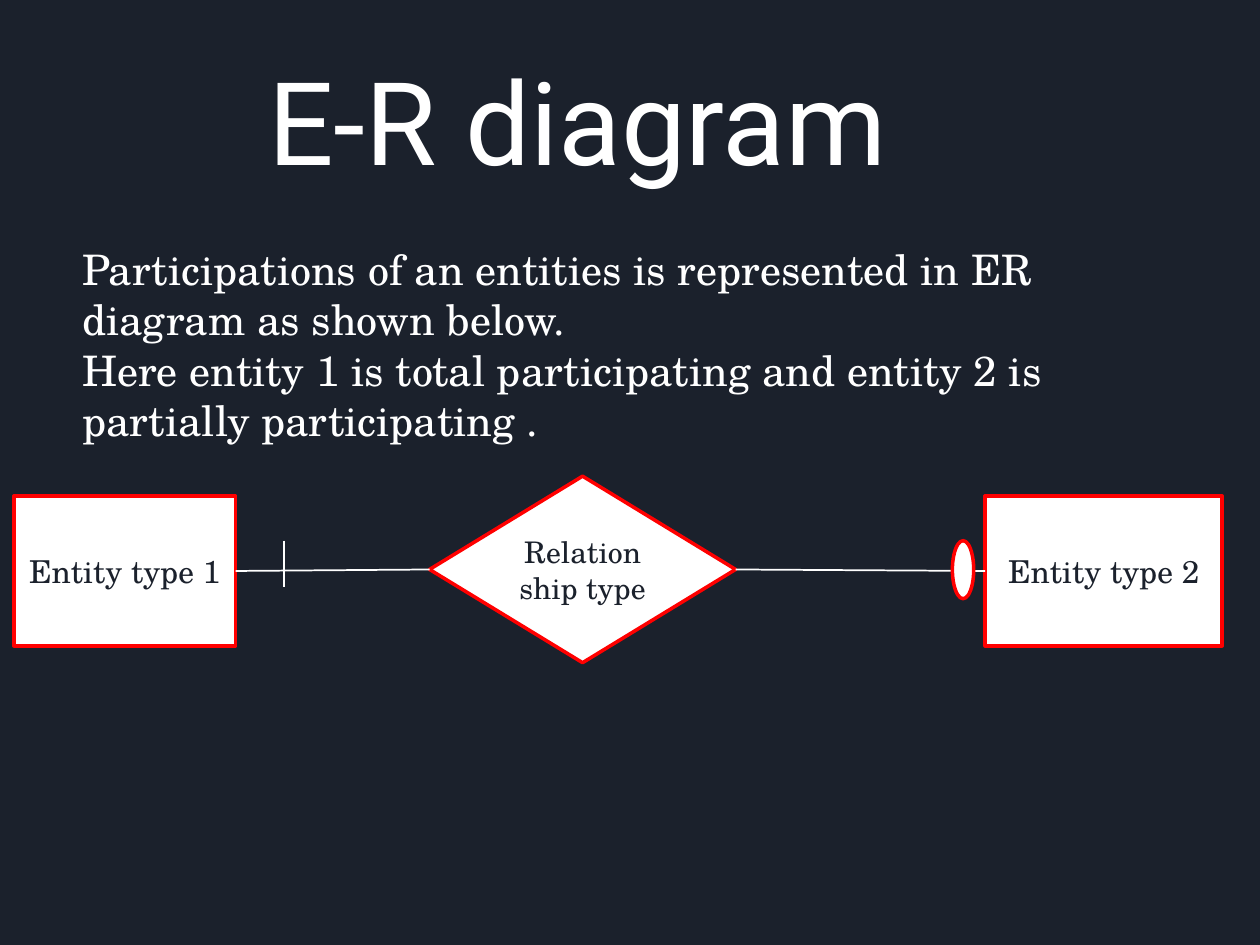
from pptx import Presentation
from pptx import util as u
from pptx.dml.color import RGBColor
from pptx.enum import shapes, text
from pptx.oxml.ns import qn
from lxml import etree

# Content
TITLE = "E-R diagram"
NOTES = [
    "Participations of an entities is represented in ER diagram as shown below.",
    "Here entity 1 is total participating and entity 2 is partially participating .",
]
KIND = shapes.MSO_SHAPE
# key: preset, label, type size, box in cm (left, top, width, height)
NODES = {
    "first": (KIND.RECTANGLE, "Entity type 1", "node", (0.28, 10, 4.47, 3.02)),
    "bond": (KIND.DIAMOND, "Relationship type", "bond", (8.66, 9.6, 6.17, 3.76)),
    "second": (KIND.RECTANGLE, "Entity type 2", "node", (19.86, 10, 4.78, 3.02)),
}
LINKS = [("first", "bond"), ("bond", "second")]
TOTAL = (5.72, 10.9, 5.72, 11.84)    # tick: total participation
PARTIAL = (19.2, 10.9, 0.43, 1.17)   # oval: partial participation
LEFT, RIGHT = 1, 3                   # connection sites

# Theme
THEME = {
    "dark": RGBColor.from_string("1B212C"),
    "light": RGBColor.from_string("FFFFFF"),
    "edge": RGBColor.from_string("FF0000"),
    "head": "Roboto",
    "text": "TeX Gyre Schola",
    "size": {"title": 66, "body": 24, "node": 18, "bond": 17},
}


def cm(box):
    return [u.Cm(n) for n in box]


def style(frame, size, face, color, align):
    for para in frame.paragraphs:
        para.alignment = align
        for run in para.runs:
            run.font.size = u.Pt(THEME["size"][size])
            run.font.name = THEME[face]
            run.font.color.rgb = THEME[color]


def place(holder, box):
    holder.left, holder.top, holder.width, holder.height = cm(box)
    holder.text_frame.auto_size = text.MSO_AUTO_SIZE.NONE
    return holder.text_frame


def add_node(slide, kind, box):
    node = slide.shapes.add_shape(kind, *cm(box))
    node.shadow.inherit = False
    node.fill.solid()
    node.fill.fore_color.rgb = THEME["light"]
    node.line.color.rgb = THEME["edge"]
    node.line.width = u.Pt(2)
    return node


def add_line(slide, ends=(0, 0, 0, 0)):
    line = slide.shapes.add_connector(shapes.MSO_CONNECTOR.STRAIGHT, *cm(ends))
    line.line.color.rgb = THEME["light"]
    line.line.width = u.Pt(1)
    etree.SubElement(line._element.spPr, qn("a:effectLst"))
    return line


def main():
    deck = Presentation()
    deck.slide_width, deck.slide_height = cm((25.4, 19.05))
    slide = deck.slides.add_slide(deck.slide_layouts[1])
    slide.background.fill.solid()
    slide.background.fill.fore_color.rgb = THEME["dark"]

    # Title
    frame = place(slide.shapes.title, (1.27, 1.78, 20.75, 2.16))
    frame.text = TITLE
    frame.vertical_anchor = text.MSO_ANCHOR.BOTTOM
    style(frame, "title", "head", "light", text.PP_ALIGN.CENTER)

    # Body, without bullets
    frame = place(slide.placeholders[1], (1.4, 4.78, 22.17, 4.32))
    frame.text = "\n".join(NOTES)
    style(frame, "body", "text", "light", text.PP_ALIGN.LEFT)
    for para in frame.paragraphs:
        para.space_before = u.Pt(0)
        props = para._p.get_or_add_pPr()
        props.set("marL", "0")
        props.set("indent", "0")
        etree.SubElement(props, qn("a:buNone"))

    # Entities and relationship
    made = {}
    for key, (kind, label, size, box) in NODES.items():
        made[key] = add_node(slide, kind, box)
        frame = made[key].text_frame
        frame.text = label
        frame.word_wrap = True
        frame.vertical_anchor = text.MSO_ANCHOR.MIDDLE
        style(frame, size, "text", "dark", text.PP_ALIGN.CENTER)

    # Links and participation marks
    for start, end in LINKS:
        line = add_line(slide)
        line.begin_connect(made[start], RIGHT)
        line.end_connect(made[end], LEFT)
    add_line(slide, TOTAL)
    add_node(slide, KIND.OVAL, PARTIAL)

    deck.save("out.pptx")


if __name__ == "__main__":
    main()
